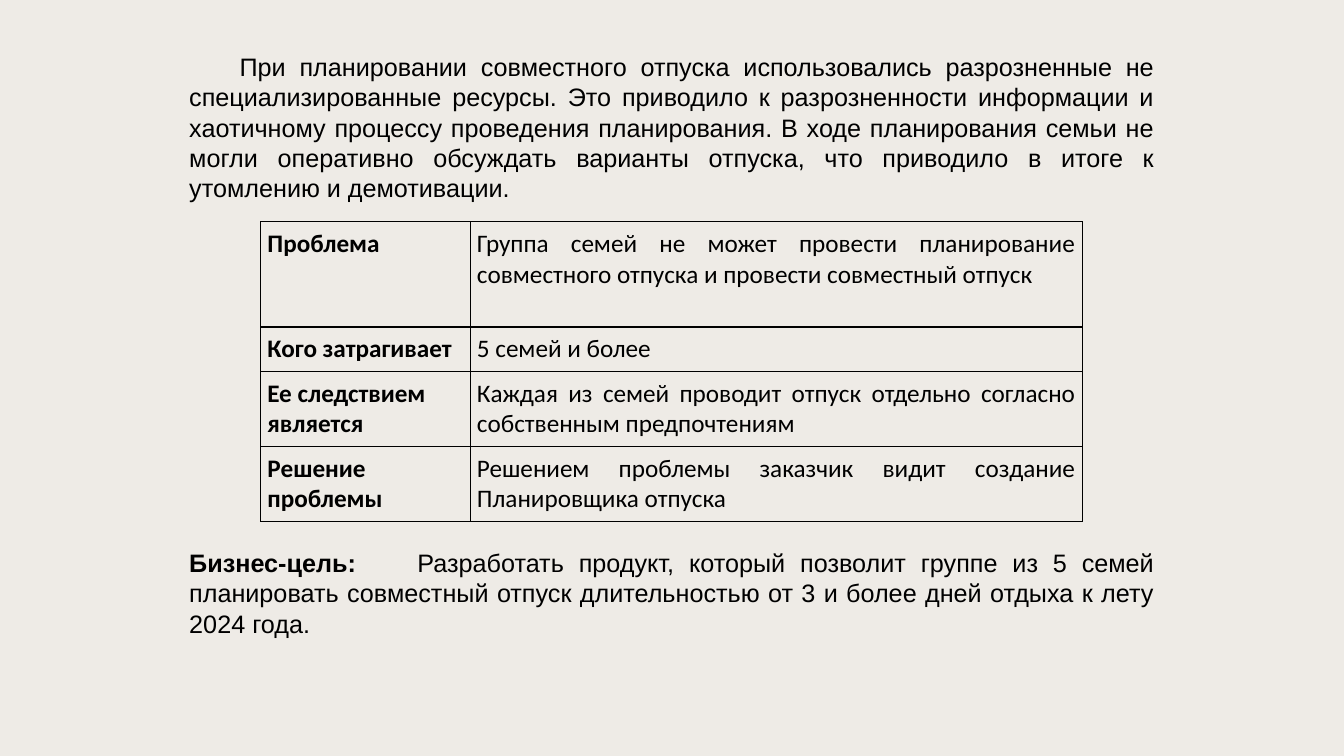
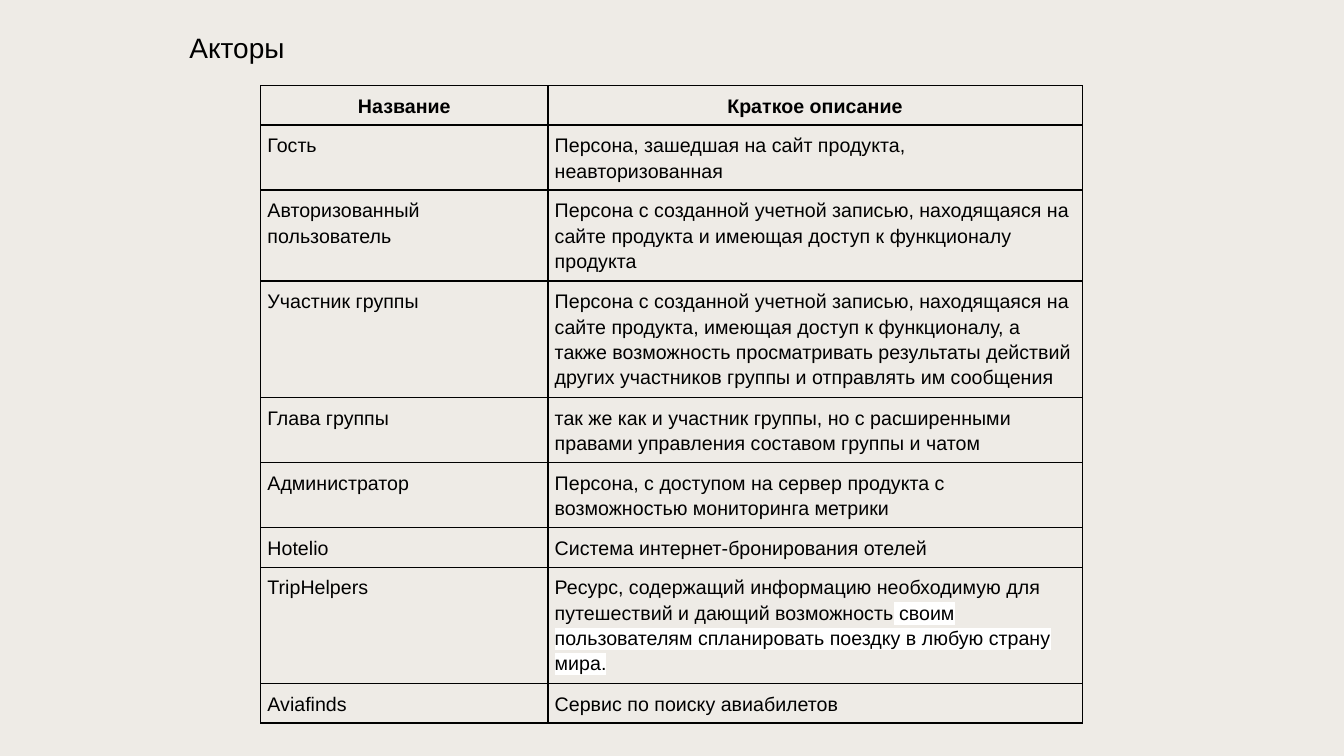
import pptx
import pptx.util
import pptx.dml.color
import pptx.enum.text
import pptx.oxml.ns
import lxml.etree

Cm, Pt = pptx.util.Cm, pptx.util.Pt
ALIGN = pptx.enum.text.PP_ALIGN
qn = pptx.oxml.ns.qn

# Content
INTRO = (
    "При планировании совместного отпуска использовались разрозненные не "
    "специализированные ресурсы. Это приводило к разрозненности информации и "
    "хаотичному процессу проведения планирования. В ходе планирования семьи не "
    "могли оперативно обсуждать варианты отпуска, что приводило в итоге к "
    "утомлению и демотивации."
)
GOAL = [
    ("Бизнес-цель:", {"bold": True}),
    ("\tРазработать продукт, который позволит группе из 5 семей планировать "
     "совместный отпуск длительностью от 3 и более дней отдыха к лету 2024 года.", {}),
]
# Rows: label, description, height in text lines
PROBLEM_ROWS = [
    ("Проблема", "Группа семей не может провести планирование совместного "
     "отпуска и провести совместный отпуск", 3),
    ("Кого затрагивает", "5 семей и более", 1),
    ("Ее следствием является", "Каждая из семей проводит отпуск отдельно "
     "согласно собственным предпочтениям", 2),
    ("Решение проблемы", "Решением проблемы заказчик видит создание "
     "Планировщика отпуска", 2),
]
ACTORS_TITLE = "Акторы"
ACTOR_ROWS = [
    ("Название", "Краткое описание", 1),
    ("Гость", "Персона, зашедшая на сайт продукта, неавторизованная", 2),
    ("Авторизованный пользователь", "Персона с созданной учетной записью, "
     "находящаяся на сайте продукта и имеющая доступ к функционалу продукта", 3),
    ("Участник группы", "Персона с созданной учетной записью, находящаяся на "
     "сайте продукта, имеющая доступ к функционалу, а также возможность "
     "просматривать результаты действий других участников группы и отправлять "
     "им сообщения", 4),
    ("Глава группы", "так же как и участник группы, но с расширенными правами "
     "управления составом группы и чатом", 2),
    ("Администратор", "Персона, с доступом на сервер продукта с возможностью "
     "мониторинга метрики", 2),
    ("Hotelio", "Система интернет-бронирования отелей", 1),
    ("TripHelpers", [
        ("Ресурс, содержащий информацию необходимую для путешествий и дающий "
         "возможность", {}),
        (" своим пользователям спланировать поездку в любую страну мира.",
         {"highlight": "FFFFFF"}),
    ], 4),
    ("Aviafinds", "Сервис по поиску авиабилетов", 1),
]

# Shared look
BACKGROUND = pptx.dml.color.RGBColor(0xEE, 0xEB, 0xE6)
BLACK = pptx.dml.color.RGBColor(0, 0, 0)
TEXT_LEFT, TEXT_WIDTH = 4.52, 24.82
TABLE_LEFT = 6.57
CELL_PAD = 0.17


def write(frame, text, size=18, font="Arial", bold=False, align=ALIGN.LEFT,
          spacing=None, indent=None, tab=None):
    """Fill a text frame with a string or a list of (text, format) runs."""
    paragraph = frame.paragraphs[0]
    paragraph.alignment = align
    if spacing:
        paragraph.line_spacing = spacing
    properties = paragraph._p.get_or_add_pPr()
    if indent:
        properties.set("indent", str(Cm(indent)))
    if tab:
        stops = lxml.etree.SubElement(properties, qn("a:tabLst"))
        lxml.etree.SubElement(stops, qn("a:tab"), pos=str(Cm(tab)), algn="l")
    for words, extra in [(text, {})] if isinstance(text, str) else text:
        run = paragraph.add_run()
        run.text = words
        run.font.size = Pt(size)
        run.font.name = font
        run.font.bold = extra.get("bold", bold)
        run.font.color.rgb = BLACK
        if "highlight" in extra:
            mark = lxml.etree.Element(qn("a:highlight"))
            lxml.etree.SubElement(mark, qn("a:srgbClr"), val=extra["highlight"])
            run._r.rPr.find(qn("a:solidFill")).addnext(mark)


def add_text(slide, top, height, text, **look):
    box = slide.shapes.add_textbox(Cm(TEXT_LEFT), Cm(top), Cm(TEXT_WIDTH), Cm(height))
    box.text_frame.word_wrap = True
    write(box.text_frame, text, align=ALIGN.JUSTIFY, **look)


def add_borders(cell):
    properties = cell._tc.get_or_add_tcPr()
    for place, side in enumerate(("a:lnL", "a:lnR", "a:lnT", "a:lnB")):
        line = lxml.etree.Element(qn(side), w=str(Pt(1)))
        fill = lxml.etree.SubElement(line, qn("a:solidFill"))
        lxml.etree.SubElement(fill, qn("a:srgbClr"), val=str(BLACK))
        properties.insert(place, line)


def add_grid(slide, top, widths, line_height, rows, look):
    """Add a bordered table; look(row, column) gives the text format of a cell."""
    heights = [lines * line_height + 2 * CELL_PAD for _, _, lines in rows]
    table = slide.shapes.add_table(
        len(rows), len(widths), Cm(TABLE_LEFT), Cm(top),
        Cm(sum(widths)), Cm(sum(heights))).table
    table.first_row = table.horz_banding = False
    for column, width in zip(table.columns, widths):
        column.width = Cm(width)
    for r, (row, height) in enumerate(zip(rows, heights)):
        table.rows[r].height = Cm(height)
        for c, text in enumerate(row[:2]):
            cell = table.cell(r, c)
            cell.margin_left = cell.margin_right = Cm(CELL_PAD)
            cell.margin_top = cell.margin_bottom = Cm(CELL_PAD)
            cell.fill.background()
            add_borders(cell)
            write(cell.text_frame, text, **look(r, c))


def problem_look(row, column):
    return {"font": "Calibri", "bold": column == 0,
            "align": ALIGN.JUSTIFY if column else ALIGN.LEFT}


def actor_look(row, column):
    return {"size": 14, "spacing": 1.15, "bold": row == 0,
            "align": ALIGN.LEFT if row else ALIGN.CENTER}


deck = pptx.Presentation()
deck.slide_width, deck.slide_height = Cm(33.87), Cm(19.05)
deck.slide_master.background.fill.solid()
deck.slide_master.background.fill.fore_color.rgb = BACKGROUND
TITLE_ONLY, BLANK = deck.slide_layouts[5], deck.slide_layouts[6]

# Problem and business goal
problem = deck.slides.add_slide(BLANK)
add_grid(problem, 5.59, (5.28, 15.42), 0.77, PROBLEM_ROWS, problem_look)
add_text(problem, 1.17, 4.88, INTRO, indent=1.27)
add_text(problem, 13.67, 2.57, GOAL, tab=5.75)

# Actors
actors = deck.slides.add_slide(TITLE_ONLY)
add_grid(actors, 2.16, (7.24, 13.46), 0.65, ACTOR_ROWS, actor_look)
title = actors.shapes.title
title.left, title.top, title.width, title.height = Cm(TEXT_LEFT), Cm(0), Cm(3), Cm(2.54)
title.text_frame.word_wrap = False
title.text_frame.auto_size = pptx.enum.text.MSO_AUTO_SIZE.NONE
title.text_frame.vertical_anchor = pptx.enum.text.MSO_ANCHOR.TOP
title.text_frame.margin_top = Cm(0.76)
write(title.text_frame, ACTORS_TITLE, size=20)

deck.save("out.pptx")
